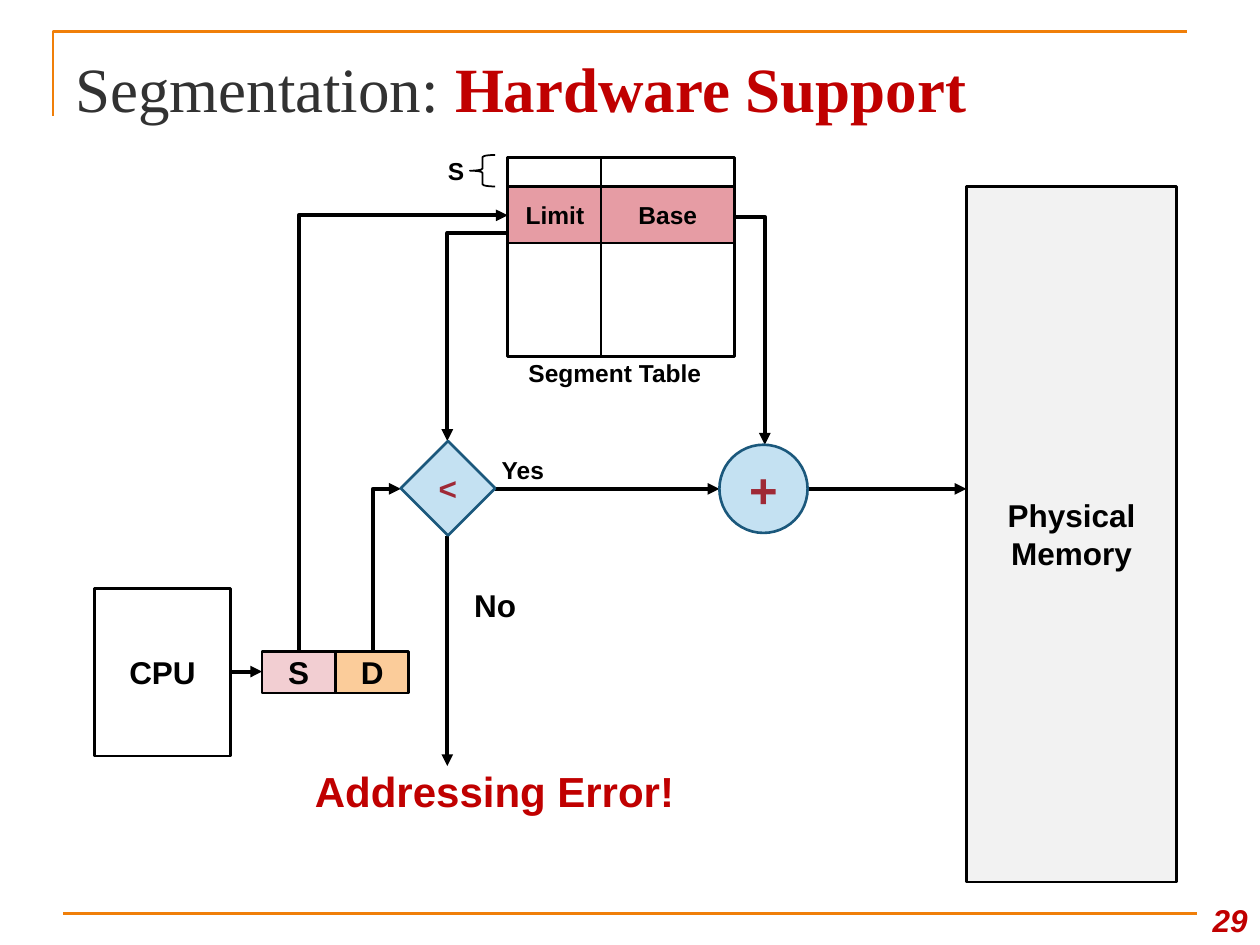
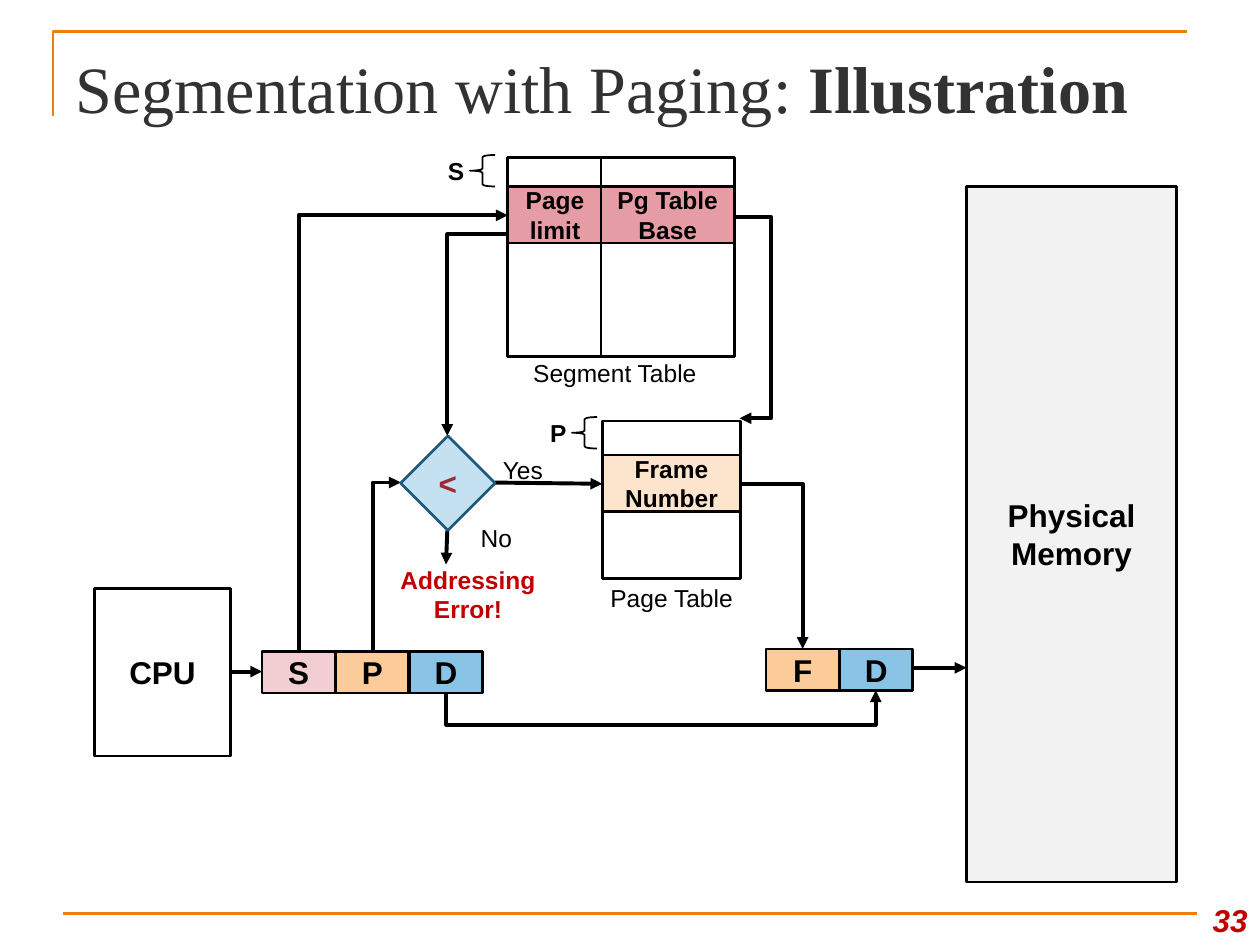
from lxml import etree
from pptx import Presentation
from pptx.dml.color import RGBColor
from pptx.enum import shapes, text
from pptx.oxml.ns import qn
from pptx.util import Inches, Pt

COLORS = {
    "ink": "000000", "title": "323232", "accent": "C00000", "rule": "F07F09",
    "white": "FFFFFF", "memory": "F2F2F2", "entry": "E69CA4", "frame": "FDE5CD",
    "segment": "F2CED2", "page": "FBCC9A", "offset": "89C3E5",
    "operator": "C4E1F2", "operator line": "1B587C", "operator text": "9F2936",
}
KINDS = {
    "rect": shapes.MSO_SHAPE.RECTANGLE,
    "diamond": shapes.MSO_SHAPE.DIAMOND,
    "ellipse": shapes.MSO_SHAPE.OVAL,
    "brace": shapes.MSO_SHAPE.LEFT_BRACE,
}
TITLE_BOX = (0.5, 0.3, 9, 0.78)
NUMBER_BOX = (9.42, 7, 0.58, 0.5)
CORNER_RULE = [(0.42, 0.92), (0.42, 0.25), (9.42, 0.25)]
BOTTOM_RULE = [(0.5, 7.25), (9.5, 7.25)]

FIELD = (0.58, 0.33)      # one part of an address
LABEL = (0.58, 0.33)
TABLE_TOP, TABLE_HEIGHT = 1.25, 1.58
ENTRY_TOP, ENTRY_HEIGHT = 1.48, 0.45
TABLE_COLUMNS = [(4.03, 0.75), (4.77, 1.06)]

SHARED_BOXES = [          # words, place, fill
    ("CPU", (0.75, 4.67, 1.08, 1.33), "white"),
    ("Physical Memory", (7.67, 1.48, 1.67, 5.52), "memory"),
]
SHARED_ARROWS = [
    [(1.83, 5.33), (2.08, 5.33)],
    [(2.37, 5.17), (2.37, 1.71), (4.03, 1.71)],
]

SLIDES = [
    {
        "title": ("Segmentation: ", "Hardware Support"),
        "title size": 36, "title accent": "accent", "number": "29",
        "entry": ("Limit", "Base"),
        "bold captions": True,
        "addresses": [((2.08, 5.17), [("S", "segment"), ("D", "page")])],
        "boxes": [],
        "operators": [
            ("<", "diamond", (3.18, 3.5, 0.75, 0.75), 18),
            ("+", "ellipse", (5.71, 3.53, 0.7, 0.7), 28),
        ],
        "braces": [("S", (3.33, 1.19))],
        "captions": [
            ("Yes", (3.86, 3.56, *LABEL), 14),
            ("No", (3.53, 4.64, 0.8, 0.33), 18),
        ],
        "error": ((2.34, 6.11, 3.17, 0.33), 24),
        "arrows": [
            [(5.3, 1.36), (5.3, 1.72), (6.07, 1.72), (6.07, 3.53)],
            [(4.4, 1.93), (4.4, 1.85), (3.55, 1.85), (3.55, 3.5)],
            [(2.96, 5.17), (2.96, 3.88), (3.18, 3.88)],
            [(3.93, 3.88), (5.71, 3.88)],
            [(3.55, 4.25), (3.55, 6.08)],
            [(6.42, 3.88), (7.67, 3.88)],
        ],
    },
    {
        "title": ("Segmentation with Paging: ", "Illustration"),
        "title size": 37.8, "title accent": "title", "number": "33",
        "entry": ("Page limit", "Pg Table Base"),
        "bold captions": False,
        "addresses": [
            ((2.08, 5.17), [("S", "segment"), ("P", "page"), ("D", "offset")]),
            ((6.08, 5.15), [("F", "page"), ("D", "offset")]),
        ],
        "boxes": [
            ("", (4.78, 3.34, 1.1, 1.25), "white"),
            ("Frame Number", (4.78, 3.61, 1.1, 0.45), "frame"),
        ],
        "operators": [("<", "diamond", (3.18, 3.46, 0.75, 0.75), 18)],
        "braces": [("S", (3.33, 1.19)), ("P", (4.14, 3.27))],
        "captions": [
            ("Page Table", (4.74, 4.5, 1.18, 0.49), 14),
            ("Yes", (3.86, 3.56, *LABEL), 14),
            ("No", (3.65, 4.1, *LABEL), 14),
        ],
        "error": ((3.08, 4.55, 1.27, 0.33), 14),
        "arrows": [
            [(5.3, 1.29), (5.3, 1.72), (6.12, 1.72), (6.12, 3.32), (5.87, 3.32)],
            [(4.4, 1.93), (4.4, 1.86), (3.55, 1.86), (3.55, 3.46)],
            [(2.96, 5.17), (2.96, 3.83), (3.18, 3.83)],
            [(5.88, 3.84), (6.37, 3.84), (6.37, 5.15)],
            [(3.54, 5.5), (3.54, 5.75), (6.95, 5.75), (6.95, 5.48)],
            [(3.93, 3.83), (4.78, 3.84)],
            [(3.55, 4.21), (3.54, 4.48)],
            [(7.25, 5.3), (7.67, 5.3)],
        ],
    },
]


def rgb(name):
    return RGBColor.from_string(COLORS[name])


def inches(values):
    return [Inches(value) for value in values]


def set_line(shape, color="ink", width=1.5):
    shape.line.color.rgb = rgb(color)
    shape.line.width = Pt(width)


def write(shape, runs, align="CENTER", anchor="MIDDLE", insets=(0, 0)):
    """Fill a shape with one paragraph; runs are (words, colour, font format)."""
    frame = shape.text_frame
    across, down = inches(insets)
    layout = {"word_wrap": True, "vertical_anchor": text.MSO_ANCHOR[anchor],
              "margin_left": across, "margin_right": across,
              "margin_top": down, "margin_bottom": down}
    for name, value in layout.items():
        setattr(frame, name, value)
    paragraph = frame.paragraphs[0]
    paragraph.alignment = text.PP_ALIGN[align]
    for words, color, form in runs:
        run = paragraph.add_run()
        run.text = words
        run.font.color.rgb = rgb(color)
        for name, value in {"name": "Arial", "bold": True, **form}.items():
            setattr(run.font, name, value)


def add_label(slide, words, place, size=14, color="ink", bold=True):
    write(slide.shapes.add_textbox(*inches(place)),
          [(words, color, {"size": Pt(size), "bold": bold})])


def add_box(slide, words, place, fill, size=18, kind="rect", line="ink", color="ink"):
    box = slide.shapes.add_shape(KINDS[kind], *inches(place))
    box.shadow.inherit = False
    box.fill.solid()
    box.fill.fore_color.rgb = rgb(fill)
    set_line(box, line)
    if words:
        write(box, [(words, color, {"size": Pt(size)})])


def bend(connector, points):
    """Lead an elbow connector through right-angled points."""
    (x1, y1), (x2, y2) = points[0], points[-1]
    dx, dy = x2 - x1, y2 - y1
    upright = points[0][0] == points[1][0]
    width, height = (abs(dy), abs(dx)) if upright else (abs(dx), abs(dy))
    place = ((x1 + x2 - width) / 2, (y1 + y2 - height) / 2, width, height)
    for name, value in zip(("left", "top", "width", "height"), inches(place)):
        setattr(connector, name, value)

    frame = connector._element.spPr.find(qn("a:xfrm"))
    flips = (dy < 0, dx > 0) if upright else (dx < 0, dy < 0)
    for name, flipped in zip(("flipH", "flipV"), flips):
        frame.set(name, str(int(flipped)))
    if upright:
        frame.set("rot", str(90 * 60000))

    geometry = connector._element.spPr.find(qn("a:prstGeom"))
    geometry.set("prst", f"bentConnector{len(points) - 1}")
    guides = geometry.find(qn("a:avLst"))
    if guides is None:
        guides = etree.SubElement(geometry, qn("a:avLst"))
    for index, point in enumerate(points[1:-2], 1):
        axis = int(upright) if index % 2 else int(not upright)
        start, end = points[0][axis], points[-1][axis]
        share = round((point[axis] - start) / (end - start) * 100000)
        etree.SubElement(guides, qn("a:gd"), name=f"adj{index}", fmla=f"val {share}")


def add_line(slide, points, color="ink", width=2.25, arrow=True):
    straight = len(points) == 2
    kind = shapes.MSO_CONNECTOR.STRAIGHT if straight else shapes.MSO_CONNECTOR.ELBOW
    connector = slide.shapes.add_connector(kind, *inches(points[0] + points[-1]))
    if not straight:
        bend(connector, points)
    set_line(connector, color, width)
    if arrow:
        etree.SubElement(connector.line._get_or_add_ln(), qn("a:tailEnd"), type="triangle")
    etree.SubElement(connector._element.spPr, qn("a:effectLst"))


def add_frame(slide, content):
    """Add the rules, the title and the slide number."""
    start, *rest = [inches(point) for point in CORNER_RULE]
    builder = slide.shapes.build_freeform(*start)
    builder.add_line_segments(rest, close=False)
    corner = builder.convert_to_shape()
    corner.shadow.inherit = False
    corner.fill.background()
    set_line(corner, "rule")
    add_line(slide, BOTTOM_RULE, "rule", 1.5, arrow=False)

    topic, emphasis = content["title"]
    form = {"name": "Times New Roman", "size": Pt(content["title size"])}
    write(slide.shapes.add_textbox(*inches(TITLE_BOX)),
          [(topic, "title", {**form, "bold": False}),
           (emphasis, content["title accent"], form)],
          align="LEFT", insets=(0.1, 0.05))
    write(slide.shapes.add_textbox(*inches(NUMBER_BOX)),
          [(content["number"], "accent", {"size": Pt(18), "italic": True})],
          align="RIGHT", anchor="BOTTOM", insets=(0.1, 0.05))


def add_segment_table(slide, entry, bold):
    for left, width in TABLE_COLUMNS:
        add_box(slide, "", (left, TABLE_TOP, width, TABLE_HEIGHT), "white")
    for words, (left, width) in zip(entry, TABLE_COLUMNS):
        add_box(slide, words, (left, ENTRY_TOP, width, ENTRY_HEIGHT), "entry", 14)
    add_label(slide, "Segment Table", (4.04, 2.79, 1.68, 0.33), bold=bold)


def add_brace(slide, words, left, top):
    brace = slide.shapes.add_shape(
        KINDS["brace"], *inches((left + 0.4, top + 0.04, 0.2, 0.25)))
    brace.shadow.inherit = False
    brace.fill.background()
    set_line(brace, width=1)
    add_label(slide, words, (left, top, *LABEL))


def add_diagram(slide, content):
    for points in SHARED_ARROWS + content["arrows"]:
        add_line(slide, points)
    for words, place, fill in SHARED_BOXES:
        add_box(slide, words, place, fill)
    for words, place, fill in content["boxes"]:
        add_box(slide, words, place, fill, 14)
    for (left, top), fields in content["addresses"]:
        for index, (words, fill) in enumerate(fields):
            add_box(slide, words, (left + index * 0.585, top, *FIELD), fill)
    for words, kind, place, size in content["operators"]:
        add_box(slide, words, place, "operator", size, kind,
                "operator line", "operator text")
    add_segment_table(slide, content["entry"], content["bold captions"])
    for words, corner in content["braces"]:
        add_brace(slide, words, *corner)
    for words, place, size in content["captions"]:
        add_label(slide, words, place, size, bold=content["bold captions"])
    place, size = content["error"]
    add_label(slide, "Addressing Error!", place, size, "accent")


def main():
    deck = Presentation()
    deck.slide_width, deck.slide_height = inches((10, 7.5))
    for content in SLIDES:
        slide = deck.slides.add_slide(deck.slide_layouts[6])
        add_frame(slide, content)
        add_diagram(slide, content)
    deck.save("out.pptx")


if __name__ == "__main__":
    main()
